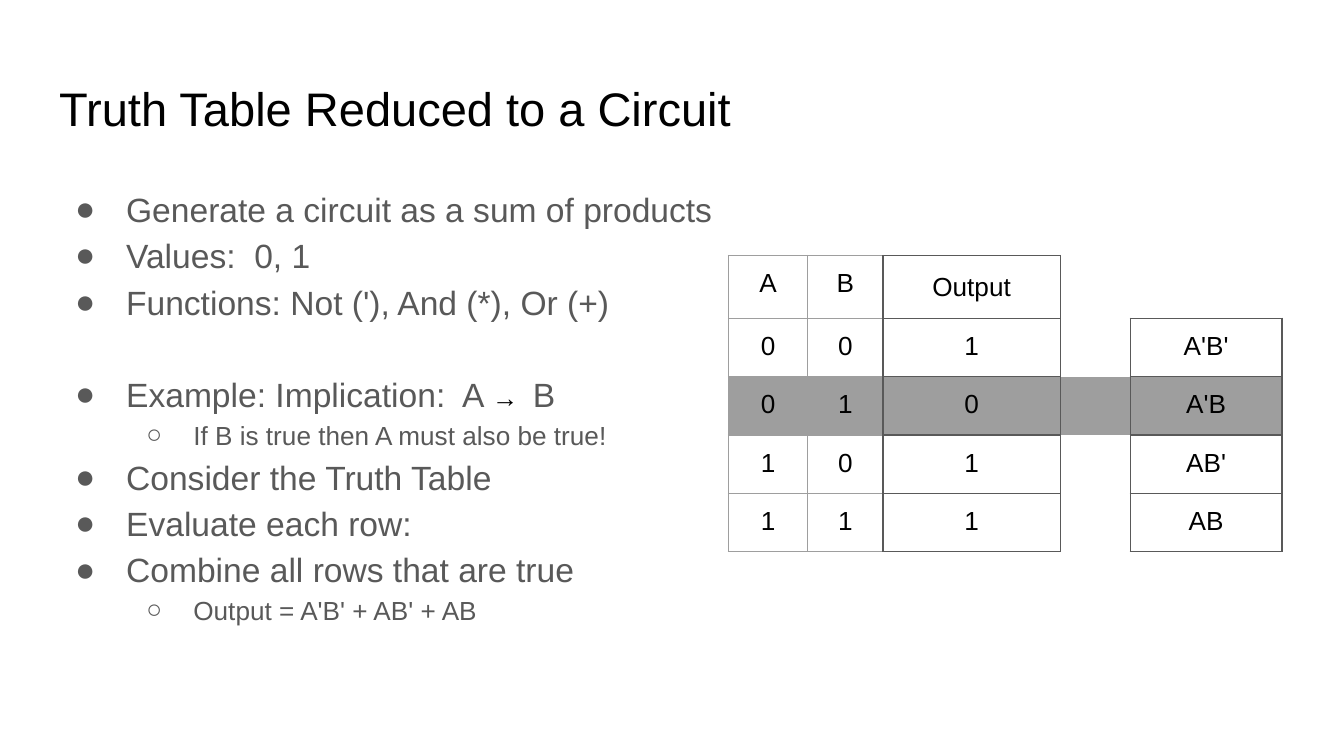
import dataclasses
import typing

import pptx
import pptx.dml.color
import pptx.enum.text
import pptx.oxml.ns
import pptx.util
from lxml import etree

Inches = pptx.util.Inches
Pt = pptx.util.Pt
RGBColor = pptx.dml.color.RGBColor

BLACK = RGBColor(0x00, 0x00, 0x00)
WHITE = RGBColor(0xFF, 0xFF, 0xFF)
DARK_GRAY = RGBColor(0x59, 0x59, 0x59)
MID_GRAY = RGBColor(0x9E, 0x9E, 0x9E)
FONT = "Arial"


@dataclasses.dataclass(frozen=True)
class Level:
    size: float
    margin: float
    hanging: float
    bullet: str


@dataclasses.dataclass(frozen=True)
class Bullet:
    text: str
    level: int = 0
    break_after: bool = False
    arrow_to: str = ""


LEVELS = (Level(18, 0.5, 0.38, "●"), Level(14, 1, 0.35, "○"))
BULLETS = (
    Bullet("Generate a circuit as a sum of products"),
    Bullet("Values:  0, 1"),
    Bullet("Functions: Not ('), And (*), Or (+)", break_after=True),
    Bullet("Example: Implication:  A ", arrow_to="B"),
    Bullet("If B is true then A must also be true!", level=1),
    Bullet("Consider the Truth Table"),
    Bullet("Evaluate each row:"),
    Bullet("Combine all rows that are true"),
    Bullet("Output = A'B' + AB' + AB", level=1),
)

COLUMN_WIDTHS = (0.59, 0.56, 1.32, 0.52, 1.13)
ROW_HEIGHT = 0.43
TRUTH_TABLE = (
    ("A", "B", "Output", "", ""),
    ("0", "0", "1", "", "A'B'"),
    ("0", "1", "0", "", "A'B"),
    ("1", "0", "1", "", "AB'"),
    ("1", "1", "1", "", "AB"),
)
FALSE_ROW = 2
GAP_COLUMN = 3


def add_run(paragraph: typing.Any, text: str, size: float, color: RGBColor) -> None:
    run = paragraph.add_run()
    run.text = text
    run.font.name = FONT
    run.font.size = Pt(size)
    run.font.color.rgb = color


def set_margins(text_frame: typing.Any) -> None:
    text_frame.margin_left = text_frame.margin_right = Inches(0.1)
    text_frame.margin_top = text_frame.margin_bottom = Inches(0.1)
    text_frame.word_wrap = True


def add_bullet(paragraph: typing.Any, bullet: Bullet) -> None:
    level = LEVELS[bullet.level]
    paragraph.level = bullet.level
    paragraph.line_spacing = 1.15
    properties = paragraph._p.get_or_add_pPr()
    properties.set("marL", str(Inches(level.margin)))
    properties.set("indent", str(-Inches(level.hanging)))
    qn = pptx.oxml.ns.qn
    bullet_color = etree.SubElement(properties, qn("a:buClr"))
    etree.SubElement(bullet_color, qn("a:srgbClr"), val=str(DARK_GRAY))
    etree.SubElement(properties, qn("a:buFont"), typeface=FONT)
    etree.SubElement(properties, qn("a:buChar"), char=level.bullet)

    add_run(paragraph, bullet.text, level.size, DARK_GRAY)
    if bullet.arrow_to:
        add_run(paragraph, "→  ", 14, BLACK)
        add_run(paragraph, bullet.arrow_to, level.size, DARK_GRAY)
    if bullet.break_after:
        paragraph.add_line_break()


def border_colors(row: int, column: int) -> dict[str, RGBColor]:
    """Border colours by side; a side left out has no line."""
    if column < 2:
        colors = dict.fromkeys("LRTB", MID_GRAY)
        if column == 1:
            colors["R"] = DARK_GRAY
        return colors
    if column == GAP_COLUMN:
        return dict.fromkeys("LR" if row else "L", DARK_GRAY)
    if column > GAP_COLUMN and row == 0:
        return {"B": DARK_GRAY}
    return dict.fromkeys("LRTB", DARK_GRAY)


def set_borders(cell: typing.Any, colors: dict[str, RGBColor]) -> None:
    qn = pptx.oxml.ns.qn
    properties = cell._tc.get_or_add_tcPr()
    for side in "LRTB":
        line = etree.SubElement(properties, qn(f"a:ln{side}"), w=str(Pt(0.75)))
        if side in colors:
            fill = etree.SubElement(line, qn("a:solidFill"))
            etree.SubElement(fill, qn("a:srgbClr"), val=str(colors[side]))
        else:
            etree.SubElement(line, qn("a:noFill"))


def fill_cell(cell: typing.Any, text: str, row: int, column: int) -> None:
    set_borders(cell, border_colors(row, column))
    cell.fill.solid()
    cell.fill.fore_color.rgb = MID_GRAY if row == FALSE_ROW else WHITE
    # Empty cells get no margin, so they do not stretch their row
    margin = Inches(0.1 if text else 0)
    cell.margin_left = cell.margin_right = margin
    cell.margin_top = cell.margin_bottom = margin
    if text:
        paragraph = cell.text_frame.paragraphs[0]
        paragraph.alignment = pptx.enum.text.PP_ALIGN.CENTER
        if text == "Output":
            paragraph.line_spacing = 1.15
            paragraph.space_after = Pt(12)
        add_run(paragraph, text, 14, BLACK)


def add_truth_table(slide: typing.Any) -> None:
    table = slide.shapes.add_table(
        len(TRUTH_TABLE), len(COLUMN_WIDTHS), Inches(5.42), Inches(1.9),
        Inches(sum(COLUMN_WIDTHS)), Inches(ROW_HEIGHT * len(TRUTH_TABLE)),
    ).table
    table.first_row = False
    table.horz_banding = False
    for column, width in zip(table.columns, COLUMN_WIDTHS):
        column.width = Inches(width)
    for row, texts in enumerate(TRUTH_TABLE):
        table.rows[row].height = Inches(ROW_HEIGHT)
        for column, text in enumerate(texts):
            fill_cell(table.cell(row, column), text, row, column)


def main() -> None:
    # Widescreen slide, 16:9
    presentation = pptx.Presentation()
    presentation.slide_width = Inches(10)
    presentation.slide_height = Inches(10 * 9 / 16)
    slide = presentation.slides.add_slide(presentation.slide_layouts[5])

    # Title
    title = slide.shapes.title
    title.left, title.top = Inches(0.34), Inches(0.49)
    title.width, title.height = Inches(9.32), Inches(0.63)
    set_margins(title.text_frame)
    title.text_frame.auto_size = pptx.enum.text.MSO_AUTO_SIZE.NONE
    title.text_frame.vertical_anchor = pptx.enum.text.MSO_ANCHOR.MIDDLE
    paragraph = title.text_frame.paragraphs[0]
    paragraph.alignment = pptx.enum.text.PP_ALIGN.LEFT
    add_run(paragraph, "Truth Table Reduced to a Circuit", 25.2, BLACK)

    # Bulleted steps
    body = slide.shapes.add_textbox(
        Inches(0.34), Inches(1.26), Inches(9.32), Inches(3.74))
    set_margins(body.text_frame)
    for index, bullet in enumerate(BULLETS):
        paragraph = (body.text_frame.add_paragraph() if index
                     else body.text_frame.paragraphs[0])
        add_bullet(paragraph, bullet)

    # Truth table with the product term of each row
    add_truth_table(slide)
    presentation.save("out.pptx")


if __name__ == "__main__":
    main()
